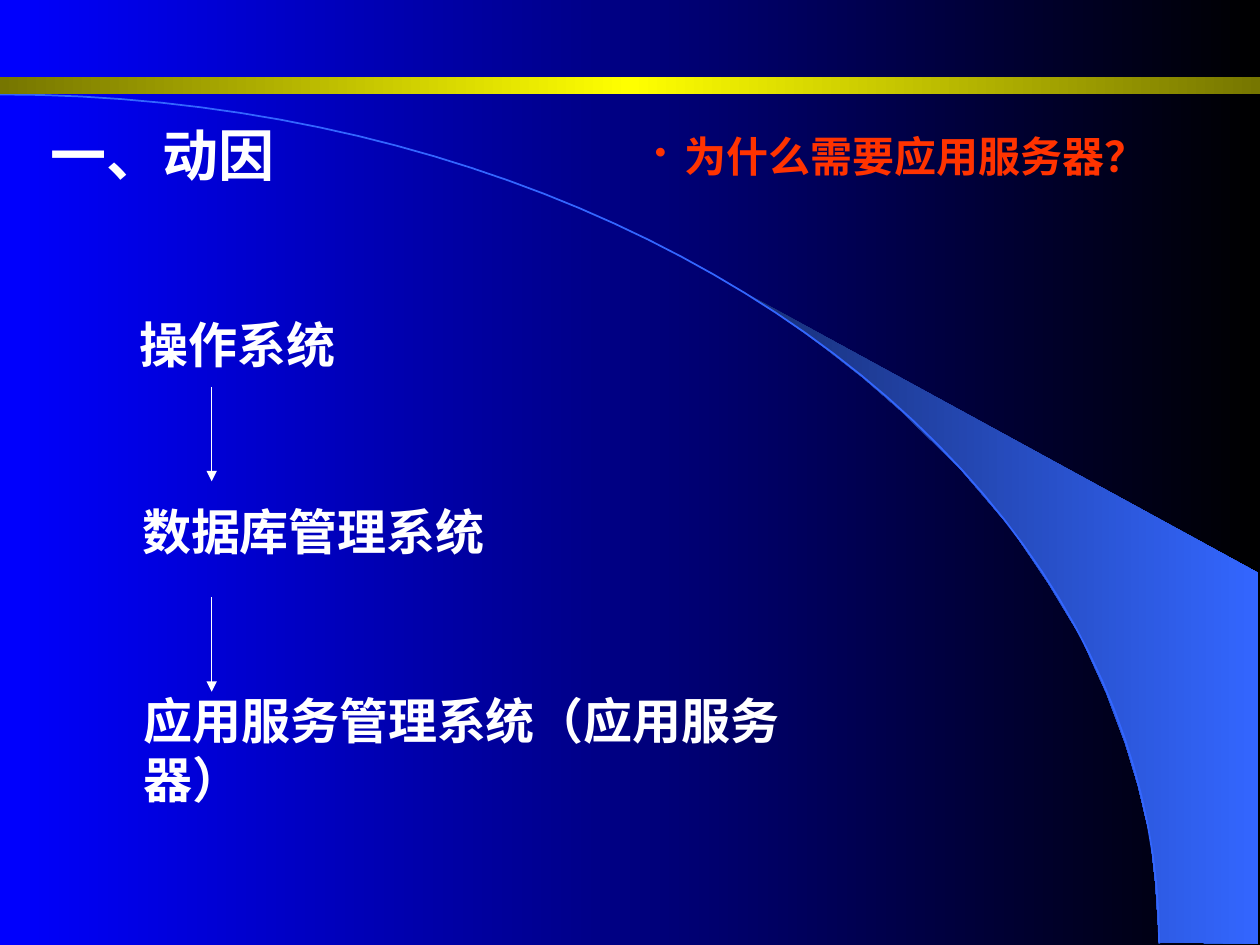
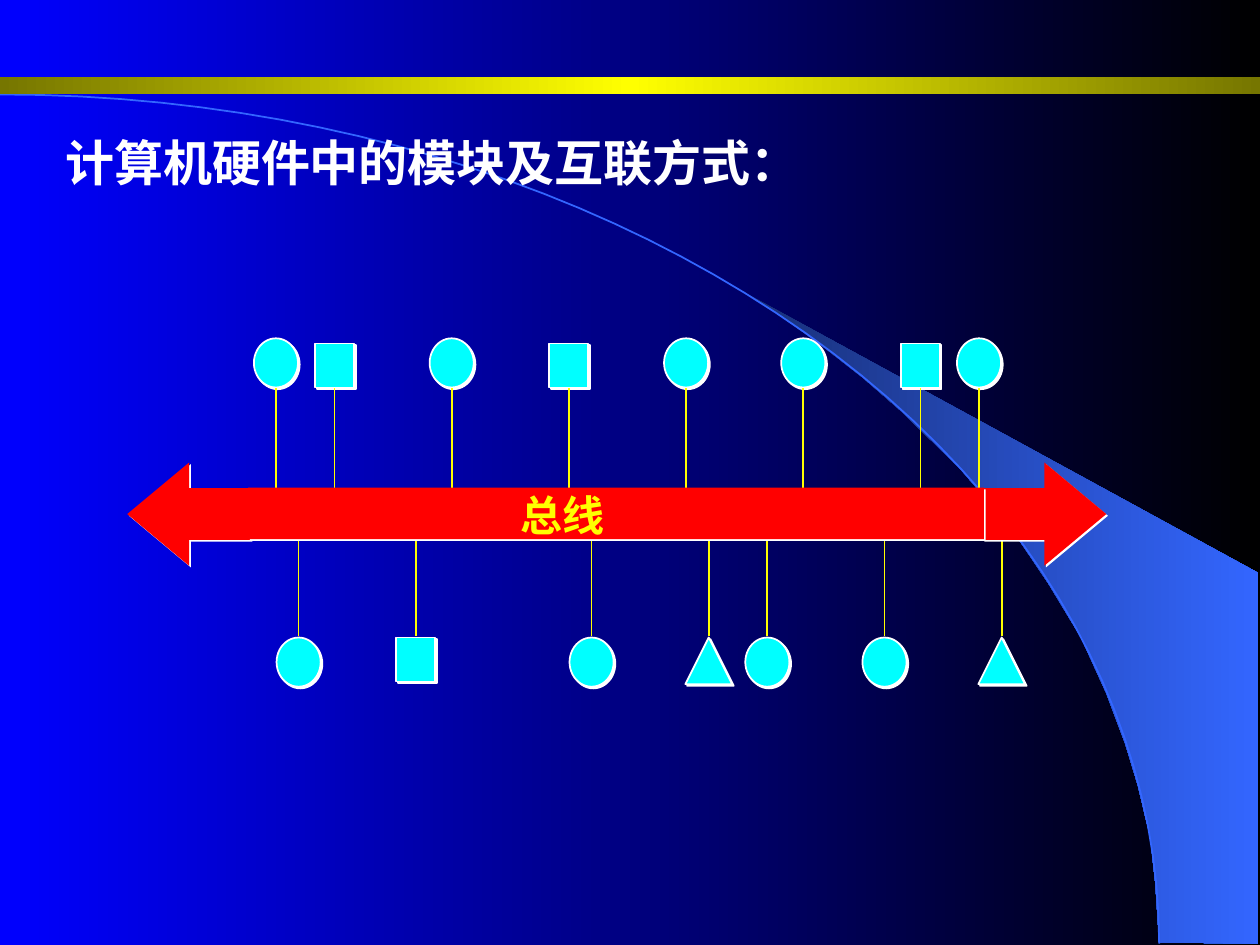
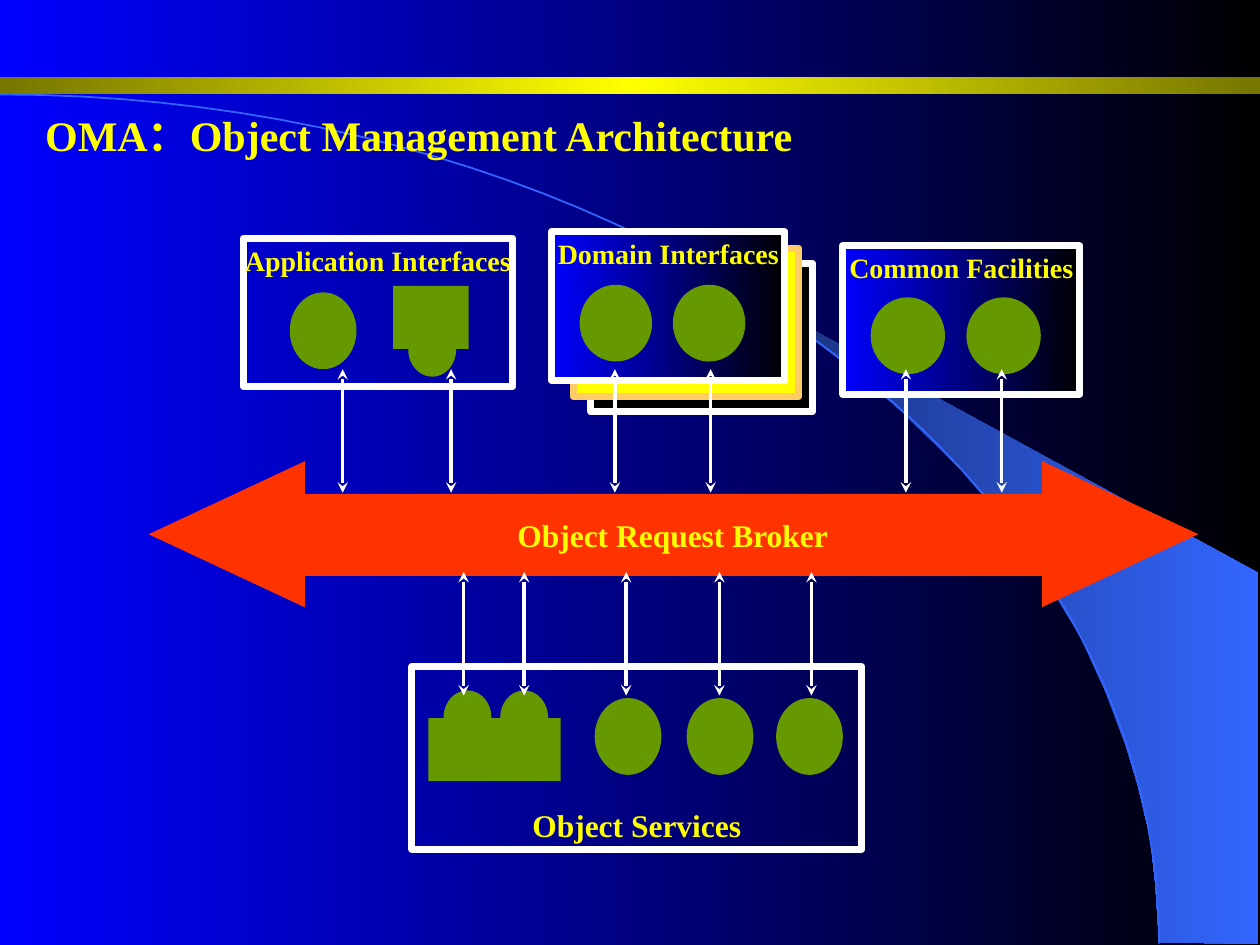
import copy
import math
from dataclasses import dataclass
from typing import NamedTuple, Optional

import lxml.etree
import pptx
import pptx.dml.color
import pptx.enum.shapes
import pptx.enum.text
import pptx.oxml.ns
import pptx.util

qn = pptx.oxml.ns.qn
SHAPE = pptx.enum.shapes.MSO_SHAPE
ANCHOR = pptx.enum.text.MSO_ANCHOR
ALIGN = pptx.enum.text.PP_ALIGN

# Grid: 100 columns by 75 rows
WIDTH, HEIGHT = pptx.util.Inches(10), pptx.util.Inches(7.5)
COL, ROW = WIDTH / 100, HEIGHT / 75

COLORS = {
    "blue": "0000FF", "black": "000000", "white": "FFFFFF", "yellow": "FFFF00",
    "olive": "767600", "navy": "182F76", "sky": "3366FF", "cyan": "00FFFF",
    "red": "FF0000", "orange": "FF3300", "sand": "FFCC66", "green": "669900",
}
BACKDROP = ("blue", "black")
LATIN, CJK = "Times New Roman", "Noto Sans CJK SC"


class Box(NamedTuple):
    left: float
    top: float
    width: float
    height: float


@dataclass(frozen=True)
class Type:
    size: float
    color: str = "white"
    font: str = LATIN
    align: ALIGN = ALIGN.LEFT
    spacing: float = 1.0


@dataclass(frozen=True)
class Look:
    fill: tuple = ()
    line: Optional[str] = None
    weight: float = 1
    shadow: bool = False


@dataclass(frozen=True)
class Panel:
    box: Box
    text: str = ""
    look: Look = Look(line="white", weight=4)
    size: float = 16
    anchor: ANCHOR = ANCHOR.TOP


# Shared drawing
def rgb(name: str) -> pptx.dml.color.RGBColor:
    return pptx.dml.color.RGBColor.from_string(COLORS[name])


def emu(box: Box) -> tuple:
    return tuple(round(value * unit) for value, unit in zip(box, (COL, ROW, COL, ROW)))


def paint(fill, owner, names: tuple) -> None:
    """No name clears the fill, one makes it solid, more make a gradient."""
    if not names:
        fill.background()
    elif len(names) == 1:
        fill.solid()
        fill.fore_color.rgb = rgb(names[0])
    else:
        fill.gradient()
        fill.gradient_angle = 0
        stop_list = next(owner.iter(qn("a:gsLst")))
        for _ in names[2:]:
            stop_list.append(copy.deepcopy(stop_list[0]))
        for index, (stop, name) in enumerate(zip(fill.gradient_stops, names)):
            stop.color.rgb = rgb(name)
            stop.position = index / (len(names) - 1)


def dress(shape, look: Look) -> None:
    shape.shadow.inherit = False
    paint(shape.fill, shape._element, look.fill)
    if look.line:
        shape.line.color.rgb = rgb(look.line)
        shape.line.width = pptx.util.Pt(look.weight)
    else:
        shape.line.fill.background()
    if look.shadow:
        effects = shape._element.spPr.find(qn("a:effectLst"))
        shadow = lxml.etree.SubElement(
            effects, qn("a:outerShdw"), dist="17780", dir="2700000", algn="ctr", rotWithShape="0")
        lxml.etree.SubElement(shadow, qn("a:srgbClr"), val=COLORS["white"])


def draw(slide, kind: SHAPE, box: Box, look: Look):
    shape = slide.shapes.add_shape(kind, *emu(box))
    dress(shape, look)
    return shape


def outline(slide, points: list, look: Look, close: bool) -> None:
    spots = [(round(x * COL), round(y * ROW)) for x, y in points]
    builder = slide.shapes.build_freeform(*spots[0])
    builder.add_line_segments(spots[1:], close=close)
    dress(builder.convert_to_shape(), look)


def write(frame, text: str, style: Type) -> None:
    frame.text = text
    paragraph = frame.paragraphs[0]
    paragraph.alignment = style.align
    paragraph.line_spacing = style.spacing
    run = paragraph.runs[0]
    run.font.size = pptx.util.Pt(style.size)
    run.font.bold = True
    run.font.color.rgb = rgb(style.color)
    run.font.name = style.font
    lxml.etree.SubElement(run._r.get_or_add_rPr(), qn("a:ea"), typeface=CJK)


def label(slide, text: str, box: Box, style: Type, wrap: bool = False):
    frame = slide.shapes.add_textbox(*emu(box)).text_frame
    frame.word_wrap = wrap
    frame.auto_size = pptx.enum.text.MSO_AUTO_SIZE.SHAPE_TO_FIT_TEXT
    write(frame, text, style)
    return frame


def panel(slide, item: Panel) -> None:
    shape = draw(slide, SHAPE.RECTANGLE, item.box, item.look)
    if item.text:
        frame = shape.text_frame
        frame.margin_left = frame.margin_right = pptx.util.Inches(0.08)
        frame.margin_top = frame.margin_bottom = pptx.util.Inches(0.04)
        frame.word_wrap = False
        frame.vertical_anchor = item.anchor
        write(frame, item.text, Type(item.size, "yellow", align=ALIGN.CENTER))


def upright(slide, x: float, top: float, bottom: float, color: str, weight: float,
            head: str = "", tail: str = "") -> None:
    x, top, bottom = round(x * COL), round(top * ROW), round(bottom * ROW)
    line = slide.shapes.add_connector(pptx.enum.shapes.MSO_CONNECTOR.STRAIGHT, x, top, x, bottom)
    line.line.color.rgb = rgb(color)
    line.line.width = pptx.util.Pt(weight)
    for tag, end in (("a:headEnd", head), ("a:tailEnd", tail)):
        if end:
            lxml.etree.SubElement(line.line._get_or_add_ln(), qn(tag), type=end)
    lxml.etree.SubElement(line._element.spPr, qn("a:effectLst"))


# Backdrop of every slide
WEDGE = [(92, 74.8), (99.9, 74.9), (99.9, 45.5), (58.9, 23.1), (62.4, 25.4), (65.3, 27.5),
         (68.5, 30), (71.6, 32.7), (76.2, 37.2), (80.3, 42), (83.2, 46.3), (85.8, 50.6),
         (87.8, 55), (89.3, 59), (90.3, 62.3), (91.3, 66.5), (91.7, 70.2)]
ARC = [(92 * math.sin(math.radians(angle)), 74.9 - 67.4 * math.cos(math.radians(angle)))
       for angle in range(0, 91, 2)]
BAND = Box(0, 6.1, 100, 1.4)


def new_slide(deck):
    slide = deck.slides.add_slide(deck.slide_layouts[6])
    paint(slide.background.fill, slide._element, BACKDROP)
    outline(slide, WEDGE, Look(("navy", "sky")), True)
    outline(slide, ARC, Look(line="sky"), False)
    draw(slide, SHAPE.RECTANGLE, BAND, Look(("olive", "yellow", "olive")))
    return slide


# Slide 1: motivation
def motivation(deck) -> None:
    slide = new_slide(deck)
    label(slide, "一、动因", Box(3, 9.1, 19.8, 6.4), Type(32))
    for text, box in (
        ("操作系统", Box(10.1, 24.5, 17.5, 5.7)),
        ("数据库管理系统", Box(10.3, 39.3, 29.2, 5.7)),
        ("应用服务管理系统（应用服务器）", Box(10.4, 54.3, 60.2, 5.7)),
    ):
        label(slide, text, box, Type(28))
    for top in (30.7, 47.4):
        upright(slide, 16.8, top, top + 7.5, "white", 0.75, tail="triangle")

    question = label(slide, "为什么需要应用服务器？", Box(51, 9.1, 39.6, 5.8),
                     Type(24, "orange", spacing=1.2), wrap=True)
    bullet = question.paragraphs[0]._p.get_or_add_pPr()
    indent = round(2.35 * COL)
    bullet.set("marL", str(indent))
    bullet.set("indent", str(-indent))
    color = lxml.etree.SubElement(bullet, qn("a:buClr"))
    lxml.etree.SubElement(color, qn("a:srgbClr"), val=COLORS["orange"])
    lxml.etree.SubElement(bullet, qn("a:buSzPct"), val="80000")
    lxml.etree.SubElement(bullet, qn("a:buChar"), char="•")


# Slide 2: modules hanging on a bus
MODULE_SIZES = {SHAPE.OVAL: (3.5, 3.9), SHAPE.RECTANGLE: (3.1, 3.5),
                SHAPE.ISOSCELES_TRIANGLE: (3.7, 3.7)}
SLOT = 4.65
O, R, T = MODULE_SIZES
UPPER = {0: O, 1: R, 3: O, 5: R, 7: O, 9: O, 11: R, 12: O}
LOWER = {0: O, 2: R, 5: O, 7: T, 8: O, 10: O, 12: T}


def hardware_bus(deck) -> None:
    slide = new_slide(deck)
    module = Look(("cyan",), "white", shadow=True)
    bus = Look(("red",), shadow=True)
    for modules, start, above in ((UPPER, 21.9, True), (LOWER, 23.7, False)):
        for slot, kind in modules.items():
            x = start + slot * SLOT
            width, height = MODULE_SIZES[kind]
            top = 30.75 - height if above else 50.6
            draw(slide, kind, Box(x - width / 2, top, width, height), module)
            upright(slide, x, *((30.8, 40.1) if above else (41.2, 50.5)), "yellow", 1)

    for kind, left in ((SHAPE.LEFT_ARROW, 10.1), (SHAPE.RIGHT_ARROW, 78)):
        tip = draw(slide, kind, Box(left, 36.7, 9.8, 8.2), bus)
        tip.adjustments[0], tip.adjustments[1] = 0.5, 0.6
    draw(slide, SHAPE.RECTANGLE, Box(19.7, 38.7, 58.4, 4.1), bus)
    label(slide, "总线", Box(40.3, 38.8, 8.7, 4.6), Type(24, "yellow", CJK, spacing=0.9))
    label(slide, "计算机硬件中的模块及互联方式：", Box(4.2, 10, 60.8, 5.7), Type(28), wrap=True)


# Slide 3: object management architecture
SERVICES = Panel(Box(32.7, 52.9, 35.7, 14.5), "Object Services", size=18, anchor=ANCHOR.BOTTOM)
APPLICATION = Panel(Box(19.3, 18.9, 21.4, 11.8), "Application Interfaces")
DOMAINS = (
    Panel(Box(46.9, 20.9, 17.6, 11.8), look=Look(("black",), "white", 4)),
    Panel(Box(45.5, 19.7, 17.9, 11.8), look=Look(("yellow",), "sand", 4)),
    Panel(Box(43.8, 18.4, 18.5, 11.8), "Domain Interfaces", Look(BACKDROP, "white", 4)),
)
FACILITIES = Panel(Box(66.9, 19.5, 18.8, 11.8), "Common Facilities", Look(BACKDROP, "white", 4))
BROKER = Panel(Box(24, 39.2, 58.8, 6.5), "Object Request Broker", Look(("orange",)), 18,
               ANCHOR.MIDDLE)


def object_architecture(deck) -> None:
    slide = new_slide(deck)
    green = Look(("green",))

    def ovals(lefts: tuple, top: float, width: float, height: float = 6.1) -> None:
        for left in lefts:
            draw(slide, SHAPE.OVAL, Box(left, top, width, height), green)

    # Broker arrow
    for left, turn in ((12.2, 270), (83.1, 90)):
        tip = draw(slide, SHAPE.ISOSCELES_TRIANGLE, Box(left, 36.2, 11.6, 12.4), BROKER.look)
        tip.rotation = turn
    panel(slide, BROKER)

    # Panels and their objects
    ovals((47.2, 54.5, 61.6), 55.4, 5.3)
    draw(slide, SHAPE.RECTANGLE, Box(34, 57, 10.5, 5), green)
    ovals((35.2, 39.7), 54.8, 3.8, 4.3)
    panel(slide, SERVICES)
    ovals((23,), 23.2, 5.3)
    draw(slide, SHAPE.RECTANGLE, Box(31.2, 22.7, 6, 5), green)
    ovals((32.4,), 25.6, 3.8, 4.3)
    panel(slide, APPLICATION)
    for domain in DOMAINS:
        panel(slide, domain)
    ovals((46, 53.4), 22.6, 5.75)
    panel(slide, FACILITIES)
    ovals((69.1, 76.7), 23.6, 5.9)

    # Links to the broker
    for top, places in ((29.3, (27.2, 35.8, 48.8, 56.4, 71.9, 79.5)),
                        (45.4, (36.8, 41.6, 49.7, 57.1, 64.4))):
        for x in places:
            upright(slide, x, top, top + 9.8, "white", 2, "stealth", "stealth")
    label(slide, "OMA：Object Management Architecture", Box(2.6, 8.2, 63.2, 5), Type(24, "yellow"))


def main() -> None:
    deck = pptx.Presentation()
    deck.slide_width, deck.slide_height = WIDTH, HEIGHT
    for build in (motivation, hardware_bus, object_architecture):
        build(deck)
    deck.save("out.pptx")


if __name__ == "__main__":
    main()
